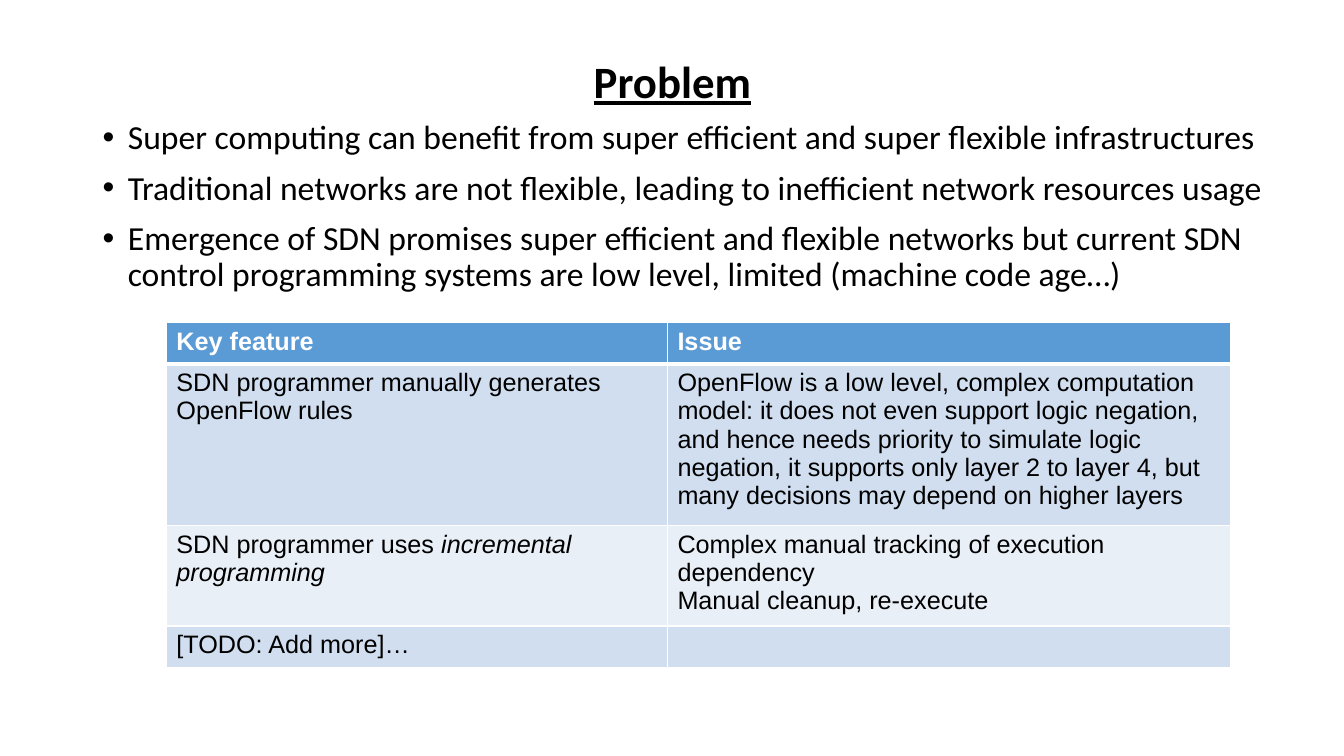
from lxml.etree import SubElement
from pptx import Presentation
from pptx.dml.color import RGBColor
from pptx.enum.text import MSO_ANCHOR, PP_ALIGN
from pptx.oxml.ns import qn
from pptx.util import Inches, Pt

COLORS = {"text": "000000", "white": "FFFFFF", "header": "5B9BD5",
          "band_dark": "D0DEEF", "band_light": "E9EFF7"}

TITLE = {"name": "Calibri", "size": Pt(32), "bold": True, "underline": True}
BODY = {"name": "Calibri", "size": Pt(24)}
CELL = {"name": "Arial", "size": Pt(18), "bold": False}
HEADER = {**CELL, "bold": True}

BULLETS = [
    "Super computing can benefit from super efficient and super flexible infrastructures",
    "Traditional networks are not flexible, leading to inefficient network resources usage",
    "Emergence of SDN promises super efficient and flexible networks but current SDN "
    "control programming systems are low level, limited (machine code age…)",
]

# Each cell is a list of paragraphs, each paragraph a list of (text, extra format) runs
ROWS = [
    [[[("Key feature", {})]], [[("Issue", {})]]],
    [[[("SDN programmer manually generates OpenFlow rules", {})]],
     [[("OpenFlow is a low level, complex computation model: it does not even support "
        "logic negation, and hence needs priority to simulate logic negation, it supports "
        "only layer 2 to layer 4, but many decisions may depend on higher layers", {})]]],
    [[[("SDN programmer uses ", {}), ("incremental programming", {"italic": True})]],
     [[("Complex manual tracking of execution dependency", {})],
      [("Manual cleanup, re-execute", {})]]],
    [[[("[TODO: Add more]…", {})]], []],
]
COL_WIDTHS = [4.97, 5.59]
ROW_HEIGHT = 0.41


def rgb(name):
    return RGBColor.from_string(COLORS[name])


def add_run(p, text, fmt, color="text"):
    r = p.add_run()
    r.text = text
    for key, value in fmt.items():
        setattr(r.font, key, value)
    r.font.color.rgb = rgb(color)


def get_paragraph(tf, index):
    return tf.paragraphs[0] if index == 0 else tf.add_paragraph()


def add_text_frame(s, left, top, width, height, anchor):
    sp = s.shapes.add_textbox(Inches(left), Inches(top), Inches(width), Inches(height))
    tf = sp.text_frame
    tf.word_wrap = True
    tf.vertical_anchor = anchor
    return tf


def add_title(s, text):
    tf = add_text_frame(s, 0.92, 0.4, 11.5, 0.87, MSO_ANCHOR.MIDDLE)
    p = tf.paragraphs[0]
    p.alignment = PP_ALIGN.CENTER
    p.line_spacing = 0.9
    add_run(p, text, TITLE)


def add_bullets(s, items):
    tf = add_text_frame(s, 0.92, 1.15, 12.3, 5.6, MSO_ANCHOR.TOP)
    for i, text in enumerate(items):
        p = get_paragraph(tf, i)
        p.line_spacing = 0.9
        p.space_before = Pt(10 if i else 0)
        add_run(p, text, BODY)
        pPr = p._p.get_or_add_pPr()
        pPr.set("marL", str(Inches(0.25)))
        pPr.set("indent", str(-Inches(0.25)))
        SubElement(pPr, qn("a:buFont"), typeface="Arial")
        SubElement(pPr, qn("a:buChar"), char="•")


def set_borders(cell, widths):
    tcPr = cell._tc.get_or_add_tcPr()
    for i, (side, width) in enumerate(widths.items()):
        ln = tcPr.makeelement(qn(f"a:ln{side}"), {"w": str(Pt(width))})
        fill = SubElement(ln, qn("a:solidFill"))
        SubElement(fill, qn("a:srgbClr"), val=COLORS["white"])
        tcPr.insert(i, ln)  # borders come before the cell fill


def fill_cell(cell, paragraphs, fmt, color, fill):
    for i, runs in enumerate(paragraphs):
        p = get_paragraph(cell.text_frame, i)
        for text, extra in runs:
            add_run(p, text, {**fmt, **extra}, color)
    cell.fill.solid()
    cell.fill.fore_color.rgb = rgb(fill)


def add_feature_table(s, rows):
    frame = s.shapes.add_table(len(rows), len(COL_WIDTHS), Inches(1.65), Inches(3.2),
                               Inches(sum(COL_WIDTHS)), Inches(ROW_HEIGHT * len(rows)))
    table = frame.table
    for col, width in zip(table.columns, COL_WIDTHS):
        col.width = Inches(width)
    for i, row in enumerate(rows):
        table.rows[i].height = Inches(ROW_HEIGHT)
        if i == 0:
            style = HEADER, "white", "header"
        else:
            style = CELL, "text", "band_dark" if i % 2 else "band_light"
        # The rule under the header is thicker than the other lines
        borders = {"L": 1, "R": 1, "T": 3 if i == 1 else 1, "B": 3 if i == 0 else 1}
        for j, paragraphs in enumerate(row):
            cell = table.cell(i, j)
            fill_cell(cell, paragraphs, *style)
            set_borders(cell, borders)


def main():
    prs = Presentation()
    prs.slide_width, prs.slide_height = Inches(13.33), Inches(7.5)
    s = prs.slides.add_slide(prs.slide_layouts[6])
    add_title(s, "Problem")
    add_bullets(s, BULLETS)
    add_feature_table(s, ROWS)
    prs.save("out.pptx")


if __name__ == "__main__":
    main()
